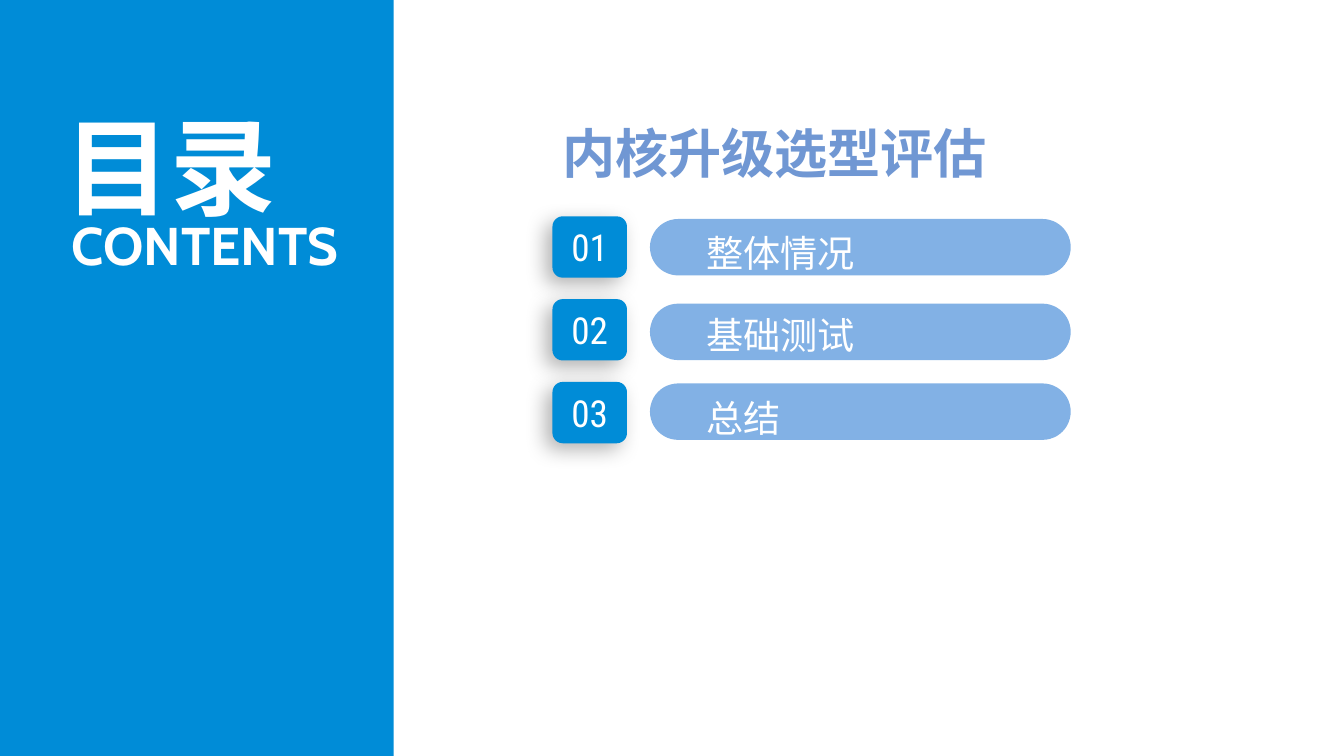
from lxml.etree import SubElement
from pptx import Presentation
from pptx.dml.color import RGBColor
from pptx.enum.shapes import MSO_SHAPE
from pptx.enum.text import MSO_ANCHOR, MSO_AUTO_SIZE, PP_ALIGN
from pptx.oxml.ns import qn
from pptx.util import Cm, Pt

BLUE, PALE_BLUE, WHITE, TITLE_BLUE = "008CD7", "82B1E5", "FFFFFF", "7097D3"
CHINESE_FONT = "Noto Sans CJK SC"


def add_block(kind, left, top, width, height, color):
    shape = slide.shapes.add_shape(kind, Cm(left), Cm(top), Cm(width), Cm(height))
    shape.shadow.inherit = False
    shape.fill.solid()
    shape.fill.fore_color.rgb = RGBColor.from_string(color)
    shape.line.fill.background()
    return shape


def write(shape, text, size, font_name, color=WHITE, bold=False, wrap=True,
          align=PP_ALIGN.LEFT, anchor=MSO_ANCHOR.TOP, spacing=1.2):
    frame = shape.text_frame
    frame.auto_size = MSO_AUTO_SIZE.NONE
    frame.word_wrap = wrap
    frame.vertical_anchor = anchor
    paragraph = frame.paragraphs[0]
    paragraph.alignment = align
    paragraph.line_spacing = spacing
    paragraph.space_before = Pt(0)
    run = paragraph.add_run()
    run.text = text
    run.font.size = Pt(size)
    run.font.bold = bold
    run.font.name = font_name
    run.font.color.rgb = RGBColor.from_string(color)
    # Chinese characters take the East Asian font
    SubElement(run.font._element, qn("a:ea"), typeface=font_name)


presentation = Presentation()
presentation.slide_width = Cm(35.71)
presentation.slide_height = Cm(20.09)
slide = presentation.slides.add_slide(presentation.slide_layouts[5])

# Title
title = slide.shapes.title
title.left, title.top, title.width, title.height = Cm(14.68), Cm(2.74), Cm(14.53), Cm(2.31)
write(title, "内核升级选型评估", 40, CHINESE_FONT, TITLE_BLUE, bold=True)

# Side panel with its two headings
add_block(MSO_SHAPE.RECTANGLE, 0, -0.08, 10.46, 20.17, BLUE)
heading = slide.shapes.add_textbox(Cm(1.47), Cm(1.9), Cm(6.68), Cm(4.01))
write(heading, "目录", 80, CHINESE_FONT, bold=True)
subheading = slide.shapes.add_textbox(Cm(1.65), Cm(5.18), Cm(7.72), Cm(2.13))
write(subheading, "CONTENTS", 40, "Cabin", bold=True)

# Contents entries: pill, label and numbered badge
entries = [("整体情况", 5.82), ("基础测试", 8.07), ("总结", 10.19)]
for index, (label, pill_top) in enumerate(entries):
    row_top = 5.75 + 2.2 * index

    pill = add_block(MSO_SHAPE.ROUNDED_RECTANGLE, 17.27, pill_top, 11.18, 1.5, PALE_BLUE)
    pill.adjustments[0] = 0.5

    label_box = slide.shapes.add_textbox(Cm(18.52), Cm(row_top), Cm(4.47), Cm(1.68))
    write(label_box, label, 28, CHINESE_FONT, wrap=False)

    badge = add_block(MSO_SHAPE.ROUNDED_RECTANGLE, 14.68, row_top, 1.98, 1.63, BLUE)
    write(badge, f"{index + 1:02d}", 28, "Roboto Condensed",
          align=PP_ALIGN.CENTER, anchor=MSO_ANCHOR.MIDDLE, spacing=1.0)

    # Soft shadow to the lower left of the badge
    effects = badge._element.spPr.find(qn("a:effectLst"))
    shadow = SubElement(effects, qn("a:outerShdw"), blurRad=str(Pt(16)), dist=str(Pt(7)),
                        dir=str(135 * 60000), algn="tr", rotWithShape="0")
    shadow_color = SubElement(shadow, qn("a:srgbClr"), val="000000")
    SubElement(shadow_color, qn("a:alpha"), val="30000")

presentation.save("out.pptx")
